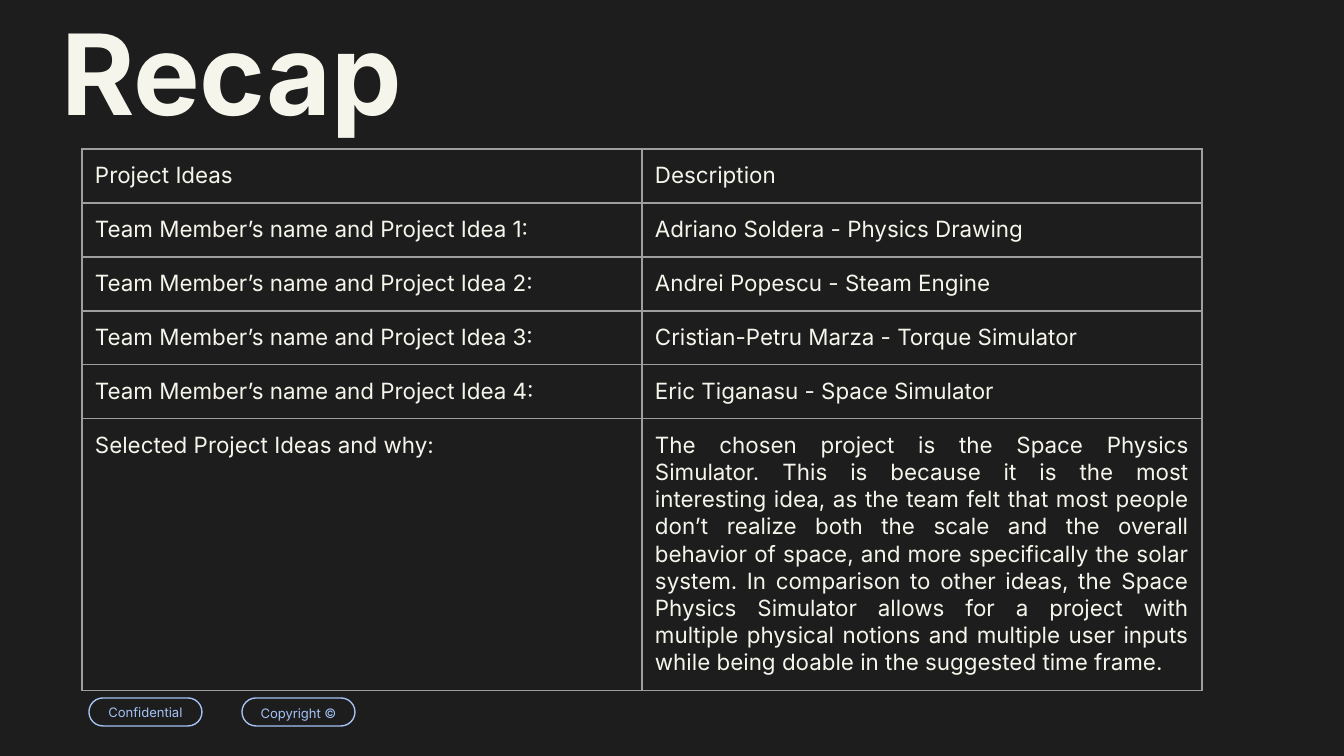
from lxml.etree import SubElement
from pptx import Presentation
from pptx.dml.color import RGBColor
from pptx.enum.shapes import MSO_SHAPE
from pptx.enum.text import MSO_ANCHOR, MSO_AUTO_SIZE, PP_ALIGN
from pptx.oxml.ns import qn
from pptx.util import Pt

PX = 9144000 / 1344
INSET = 13
FONT = "Inter"
COLORS = {"background": "1D1D1D", "text": "F6F5EC", "badge": "A4C2F4", "border": "9E9E9E"}
IDEAS = [
    "Adriano Soldera - Physics Drawing",
    "Andrei Popescu - Steam Engine",
    "Cristian-Petru Marza - Torque Simulator",
    "Eric Tiganasu - Space Simulator",
]
REASON = (
    "The chosen project is the Space Physics Simulator. This is because it is the most "
    "interesting idea, as the team felt that most people don’t realize both the scale and "
    "the overall behavior of space, and more specifically the solar system. In comparison "
    "to other ideas, the Space Physics Simulator allows for a project with multiple physical "
    "notions and multiple user inputs while being doable in the suggested time frame."
)
ROWS = [
    ("Project Ideas", "Description"),
    *((f"Team Member’s name and Project Idea {number}:", idea)
      for number, idea in enumerate(IDEAS, 1)),
    ("Selected Project Ideas and why:", REASON),
]


def emu(*lengths):
    """Convert pixel lengths to EMU."""
    return [round(length * PX) for length in lengths]


def color(name):
    """Look up a palette colour."""
    return RGBColor.from_string(COLORS[name])


def set_insets(target):
    """Give a text frame or cell equal insets on every side."""
    inset, = emu(INSET)
    target.margin_left = target.margin_right = inset
    target.margin_top = target.margin_bottom = inset


def write(frame, text, size, tint, align=PP_ALIGN.LEFT, bold=False, spacing=None):
    """Write one formatted paragraph into a text frame."""
    frame.text = text
    paragraph = frame.paragraphs[0]
    paragraph.alignment = align
    paragraph.line_spacing = spacing
    font = paragraph.runs[0].font
    font.name, font.size, font.bold = FONT, Pt(size), bold
    font.color.rgb = color(tint)


def add_title(slide, left, top, width, height):
    """Place the slide heading in the title placeholder."""
    heading = slide.shapes.title
    heading.left, heading.top, heading.width, heading.height = emu(left, top, width, height)
    frame = heading.text_frame
    frame.word_wrap = True
    frame.auto_size = MSO_AUTO_SIZE.NONE
    frame.vertical_anchor = MSO_ANCHOR.TOP
    set_insets(frame)
    write(frame, "Recap", 60, "text", bold=True, spacing=0.8)


def add_borders(cell):
    """Outline all four sides of a table cell."""
    properties = cell._tc.get_or_add_tcPr()
    for side in ("a:lnL", "a:lnR", "a:lnT", "a:lnB"):
        edge = SubElement(properties, qn(side), w=str(Pt(0.75)))
        fill = SubElement(edge, qn("a:solidFill"))
        SubElement(fill, qn("a:srgbClr"), val=COLORS["border"])


def add_ideas_table(slide, left, top, width, height):
    """Draw the project ideas table, its last row taking the remaining height."""
    row_height = 54
    columns = len(ROWS[0])
    table = slide.shapes.add_table(len(ROWS), columns, *emu(left, top, width, height)).table
    table.first_row = table.horz_banding = False
    for column in table.columns:
        column.width, = emu(width / columns)
    for row in table.rows:
        row.height, = emu(row_height)
    table.rows[len(ROWS) - 1].height, = emu(height - row_height * (len(ROWS) - 1))
    for row, texts in zip(table.rows, ROWS):
        for cell, text in zip(row.cells, texts):
            add_borders(cell)
            cell.fill.background()
            set_insets(cell)
            align = PP_ALIGN.JUSTIFY if text == REASON else PP_ALIGN.LEFT
            write(cell.text_frame, text, 12, "text", align)


def add_badges(slide, left, top, width, height):
    """Draw the two footer badges at the ends of the given box."""
    badge_width = 113
    for offset, label, spacing in ((0, "Confidential", None),
                                   (width - badge_width, "Copyright ©", 1.15)):
        badge = slide.shapes.add_shape(
            MSO_SHAPE.ROUNDED_RECTANGLE, *emu(left + offset, top, badge_width, height))
        badge.adjustments[0] = 0.5
        badge.shadow.inherit = False
        badge.fill.background()
        badge.line.color.rgb = color("badge")
        badge.line.width = Pt(0.75)
        frame = badge.text_frame
        frame.word_wrap = True
        frame.vertical_anchor = MSO_ANCHOR.MIDDLE
        set_insets(frame)
        write(frame, label, 7, "badge", PP_ALIGN.CENTER, spacing=spacing)


def main():
    """Build and save the recap slide."""
    deck = Presentation()
    deck.slide_width, deck.slide_height = emu(1344, 756)
    slide = deck.slides.add_slide(deck.slide_layouts[5])
    slide.background.fill.solid()
    slide.background.fill.fore_color.rgb = color("background")
    add_badges(slide, 89, 698, 266, 28)
    add_title(slide, 48, 16, 1188, 99)
    add_ideas_table(slide, 82, 149, 1120, 542)
    deck.save("out.pptx")


if __name__ == "__main__":
    main()
